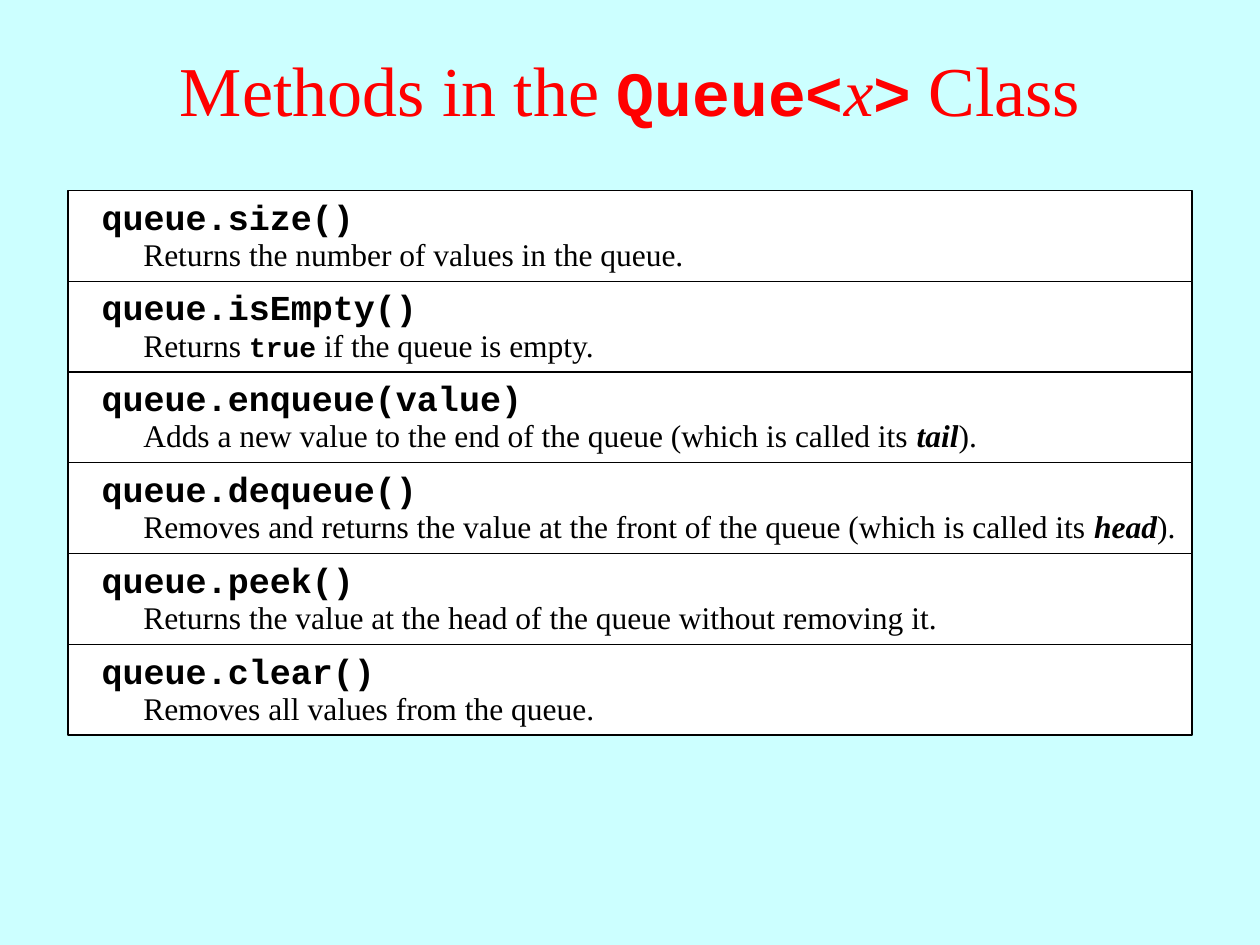
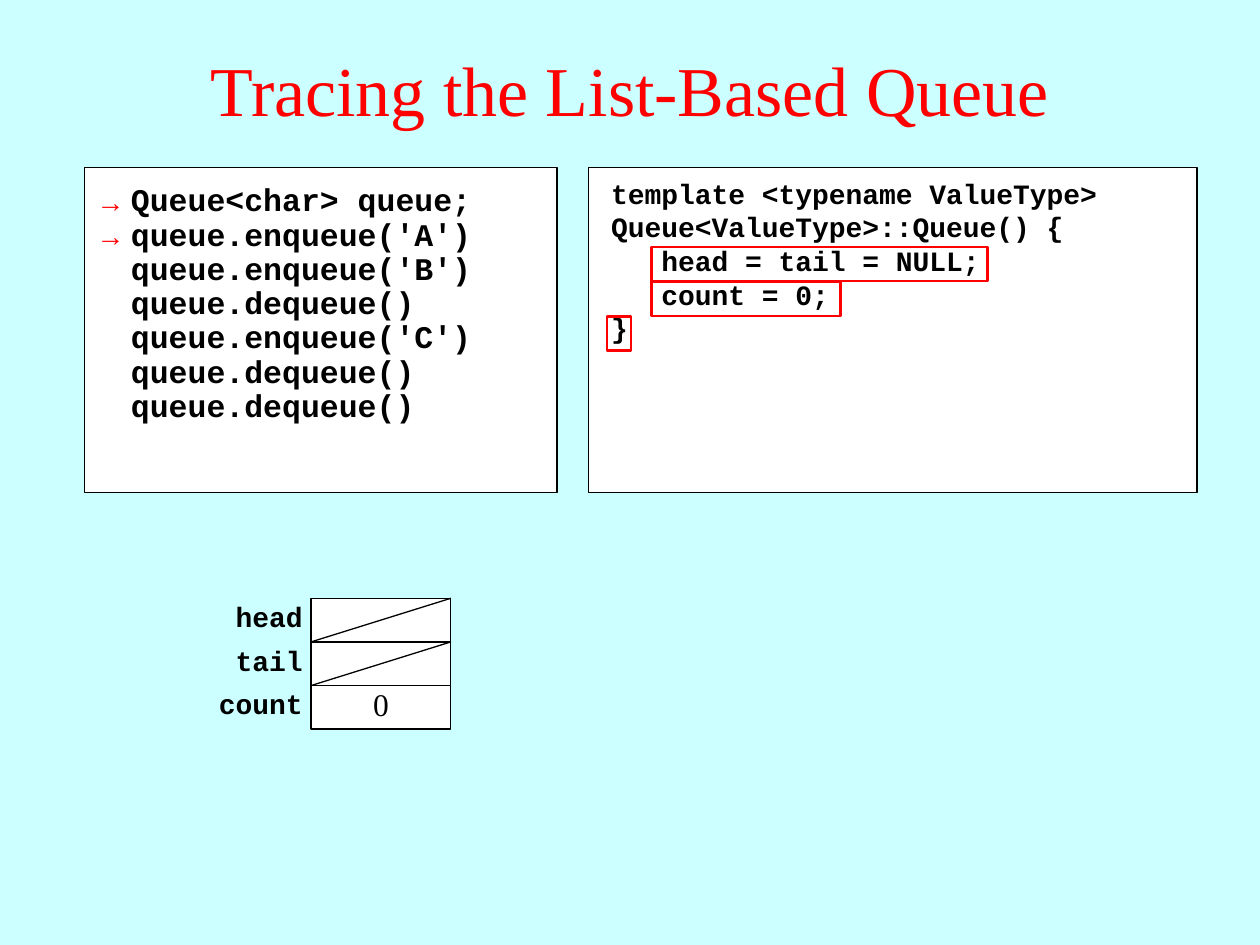
from lxml.etree import SubElement
from pptx import Presentation
from pptx.dml.color import RGBColor
from pptx.enum.shapes import MSO_CONNECTOR, MSO_SHAPE
from pptx.enum.text import MSO_ANCHOR, MSO_AUTO_SIZE, PP_ALIGN
from pptx.oxml.ns import qn
from pptx.util import Cm, Pt

SERIF, MONO, SANS = "Times New Roman", "Courier New", "Arial"
SKY, RED, BLACK, WHITE = "CCFFFF", "FF0000", "000000", "FFFFFF"


def color(hex_string):
    return RGBColor.from_string(hex_string)


def write(frame, paragraphs, size=18, font=SERIF, ink=BLACK, bold=False,
          align=PP_ALIGN.LEFT, spacing=1.0):
    """Fill a frame; a paragraph is a string or a list of (text, overrides)."""
    for index, content in enumerate(paragraphs):
        paragraph = frame.add_paragraph() if index else frame.paragraphs[0]
        paragraph.alignment = align
        paragraph.line_spacing = spacing
        runs = [(content, {})] if isinstance(content, str) else content
        for words, overrides in runs:
            style = {"size": size, "font": font, "bold": bold, "italic": False} | overrides
            run = paragraph.add_run()
            run.text = words
            run.font.name = style["font"]
            run.font.size = Pt(style["size"])
            run.font.bold = style["bold"]
            run.font.italic = style["italic"]
            run.font.color.rgb = color(ink)


class Deck:
    def __init__(self):
        self.presentation = Presentation()
        self.presentation.slide_width = Cm(25.4)
        self.presentation.slide_height = Cm(19.05)
        background = self.presentation.slide_master.background.fill
        background.solid()
        background.fore_color.rgb = color(SKY)
        self.slide = None

    def new_slide(self, title):
        self.slide = self.presentation.slides.add_slide(self.presentation.slide_layouts[5])
        heading = self.slide.shapes.title
        heading.left, heading.top = Cm(0), Cm(0.2)
        heading.width, heading.height = Cm(25.4), Cm(3.18)
        frame = heading.text_frame
        frame.auto_size = MSO_AUTO_SIZE.NONE
        frame.vertical_anchor = MSO_ANCHOR.MIDDLE
        write(frame, [title], size=40, ink=RED, align=PP_ALIGN.CENTER)

    def box(self, left, top, width, height, fill=WHITE, line=BLACK, weight=0.75):
        shape = self.slide.shapes.add_shape(
            MSO_SHAPE.RECTANGLE, Cm(left), Cm(top), Cm(width), Cm(height))
        shape.shadow.inherit = False
        if fill:
            shape.fill.solid()
            shape.fill.fore_color.rgb = color(fill)
        else:
            shape.fill.background()
        shape.line.color.rgb = color(line)
        shape.line.width = Pt(weight)

    def text(self, left, top, width, height, *paragraphs, wrap=True, **style):
        frame = self.slide.shapes.add_textbox(
            Cm(left), Cm(top), Cm(width), Cm(height)).text_frame
        frame.word_wrap = wrap
        write(frame, paragraphs, **style)

    def line(self, x1, y1, x2, y2):
        connector = self.slide.shapes.add_connector(
            MSO_CONNECTOR.STRAIGHT, Cm(x1), Cm(y1), Cm(x2), Cm(y2))
        connector.line.color.rgb = color(BLACK)
        connector.line.width = Pt(0.75)
        SubElement(connector._element.spPr, qn("a:effectLst"))


def methods_slide(deck):
    code = {"font": MONO, "bold": True}
    term = {"bold": True, "italic": True}
    deck.new_slide([
        ("Methods in the ", {}), ("Queue<", code | {"size": 36}),
        ("x", {"size": 38, "italic": True}), (">", code | {"size": 36}), (" Class", {})])
    methods = [
        ("queue.size()", "Returns the number of values in the queue."),
        ("queue.isEmpty()", [("Returns ", {}), ("true", code | {"size": 16}),
                             (" if the queue is empty.", {})]),
        ("queue.enqueue(value)", [
            ("Adds a new value to the end of the queue (which is called its ", {}),
            ("tail", term), (").", {})]),
        ("queue.dequeue()", [
            ("Removes and returns the value at the front of the queue "
             "(which is called its ", {}),
            ("head", term), (").", {})]),
        ("queue.peek()", "Returns the value at the head of the queue without removing it."),
        ("queue.clear()", "Removes all values from the queue."),
    ]
    row_height = 1.83
    for row, (call, purpose) in enumerate(methods):
        top = 3.84 + row * row_height
        deck.box(1.37, top, 22.66, row_height)
        deck.text(1.8, top - 0.03, 21.8, 1.09, call, size=20, **code)
        deck.text(2.64, top + 0.77, 21.5, 1.02, purpose)


def tracing_slide(deck):
    deck.new_slide("Tracing the List-Based Queue")
    code = {"font": MONO, "bold": True}

    deck.box(1.7, 3.38, 9.53, 6.55)
    calls = ["Queue<char> queue;", "queue.enqueue('A')", "queue.enqueue('B')",
             "queue.dequeue()", "queue.enqueue('C')", "queue.dequeue()", "queue.dequeue()"]
    executed = 2
    for step, call in enumerate(calls):
        top = 3.6 + step * 0.69
        deck.text(2.39, top, 8.05, 0.94, call, spacing=0.9, **code)
        if step < executed:
            deck.text(1.7, top, 1.07, 0.94, "→", wrap=False, size=16, font=SANS, ink=RED)

    deck.box(11.86, 3.38, 12.27, 6.55)
    deck.text(12.07, 3.43, 10.44, 4.37,
              "template <typename ValueType>", "Queue<ValueType>::Queue() {",
              "   head = tail = NULL;", "   count = 0;", "}",
              wrap=False, size=16, **code)
    highlights = [(13.13, 6.78), (13.13, 3.81), (12.24, 0.48)]
    for index, (left, width) in enumerate(highlights):
        deck.box(left, 4.98 + index * 0.7, width, 0.69, fill=None, line=RED, weight=1.5)

    left, width, height = 6.27, 2.82, 0.88
    fields = [("head", None), ("tail", None), ("count", "0")]
    for index, (field, value) in enumerate(fields):
        top = 12.06 + index * height
        deck.text(4, top - 0.1, 2.35, 0.94, field, size=16, align=PP_ALIGN.RIGHT, **code)
        deck.box(left, top, width, height)
        if value is None:
            deck.line(left, top + height, left + width, top)
        else:
            deck.text(left, top - 0.13, width, 1.02, value, align=PP_ALIGN.CENTER)


def main():
    deck = Deck()
    methods_slide(deck)
    tracing_slide(deck)
    deck.presentation.save("out.pptx")


if __name__ == "__main__":
    main()
